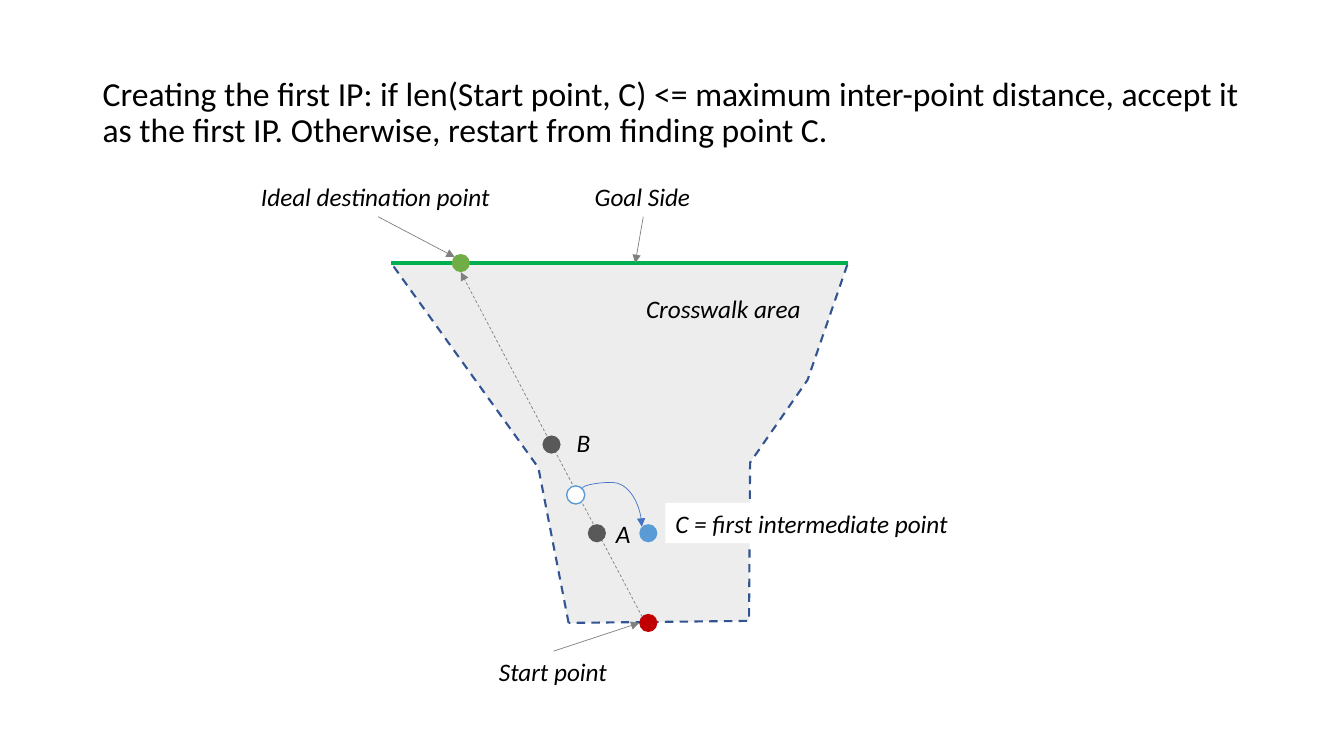
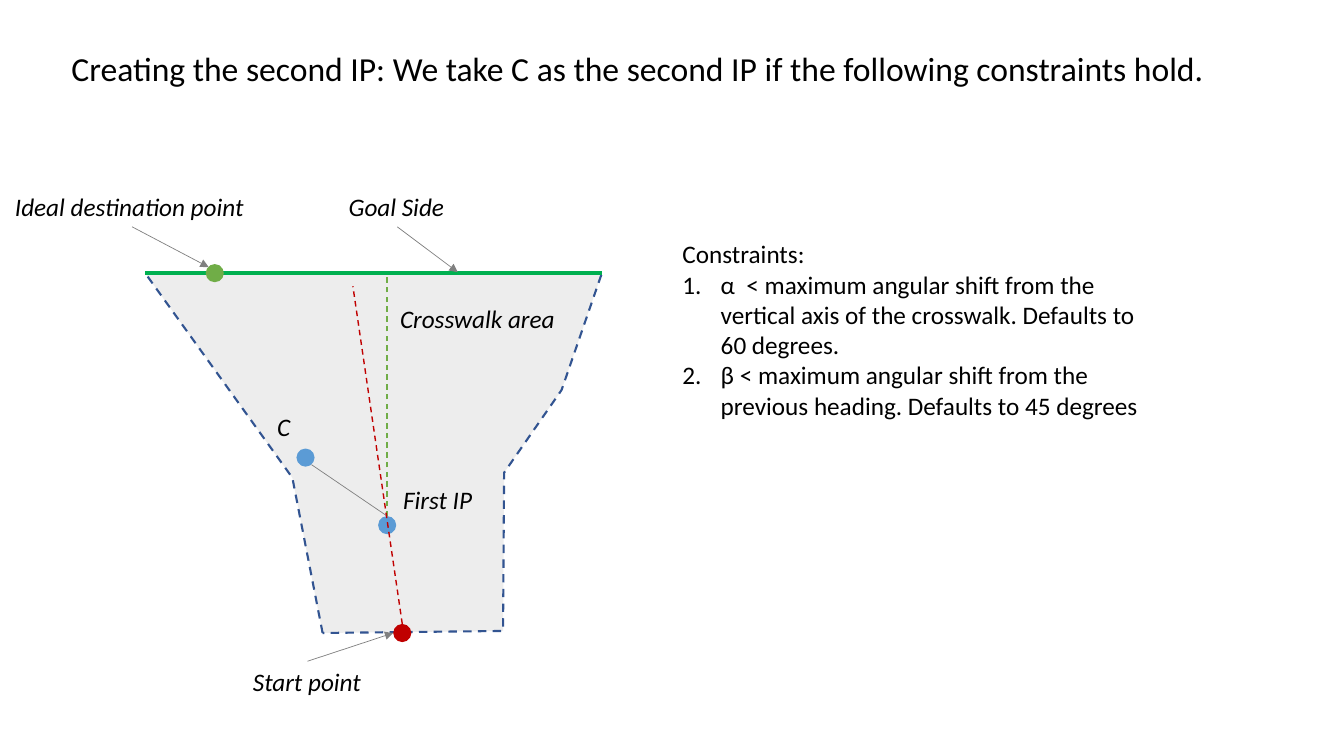
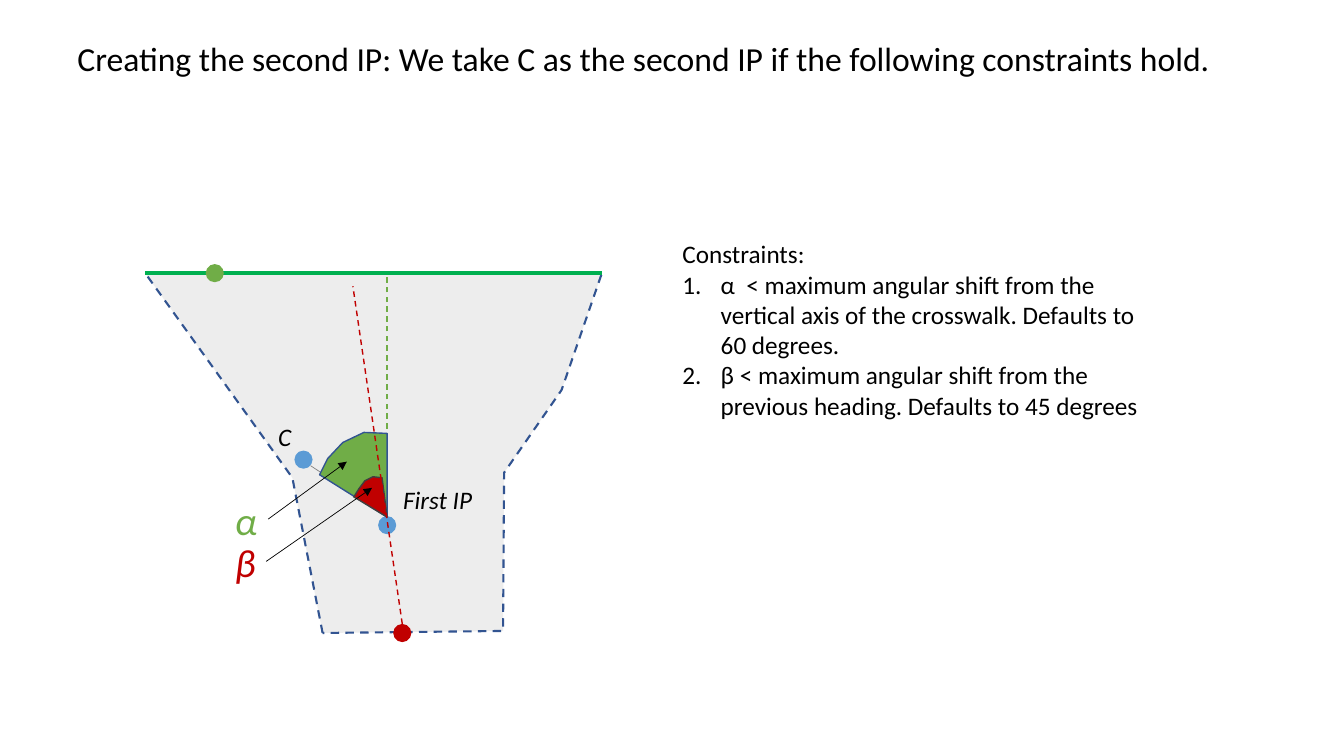
"""Three slides on placing intermediate points (IP) inside a crosswalk."""
from lxml import etree
from pptx import Presentation
from pptx.dml.color import RGBColor
from pptx.enum.dml import MSO_LINE_DASH_STYLE as Dash
from pptx.enum.shapes import MSO_CONNECTOR as Link, MSO_SHAPE as Preset
from pptx.enum.text import MSO_ANCHOR as Anchor, MSO_AUTO_SIZE as AutoSize, PP_ALIGN as Align
from pptx.oxml.ns import qn
from pptx.util import Inches, Pt

FONT = "Calibri"
BLACK, WHITE, GREY, DARK = "000000", "FFFFFF", "808080", "595959"
RED, GREEN, BLUE, NAVY = "C00000", "70AD47", "5B9BD5", "325491"
GOAL_GREEN, AREA_GREY, CURVE_BLUE, OUTLINE = "00B050", "EDEDED", "4472C4", "404040"
DOT = 0.18
INDENT = 0.38

AREA = [(1.76, 3.57), (1.46, 2.03), (0, 0), (4.53, 0), (4.13, 1.16), (3.56, 1.98), (3.55, 3.55)]
START, IDEAL, FIRST_IP = (2.55, 3.57), (0.69, 0), (2.4, 2.5)
IP_TOP = (2.4, 2.41)

FIRST_TITLE = ("Creating the first IP: if len(Start point, C) <= maximum inter-point distance, "
               "accept it as the first IP. Otherwise, restart from finding point C.")
SECOND_TITLE = ("Creating the second IP: We take C as the second IP "
                "if the following constraints hold.")
CONSTRAINTS = [
    "Constraints:",
    "α  < maximum angular shift from the vertical axis of the crosswalk. Defaults to 60 degrees.",
    "β < maximum angular shift from the previous heading. Defaults to 45 degrees",
]

AREA_LABELS = [
    ("label", "Start point", (0.97, 3.85), 1.29),
    ("label", "Crosswalk area", (2.42, 0.25), 1.75),
    ("label", "Goal Side", (1.92, -0.86), 1.16),
    ("label", "Ideal destination point", (-1.39, -0.86), 2.52),
    ("arrow", (1.61, 3.85), (2.46, 3.57)),
    ("arrow", (-0.13, -0.46), (0.63, -0.06)),
]
FIRST_IP_PARTS = [
    ("label", "First IP", (2.46, 2.05), 0.89),
    ("dot", FIRST_IP, BLUE),
    ("line", IP_TOP, (2.4, 0), GREEN, 1, True),
]
HEADING = ("line", (2.55, 3.48), (2.06, 0.13), RED, 1, True)

SLIDES = [
    dict(title=FIRST_TITLE, title_at=(0.92, 0.4), origin=(3.88, 2.61), parts=AREA_LABELS + [
        ("arrow", (2.5, -0.46), (2.42, 0)),
        ("arrow", (2.49, 3.51), (0.69, 0.09), GREY, True),
        ("dot", (2.04, 2.68), DARK),
        ("dot", (1.59, 1.8), DARK),
        ("label", "A", (2.13, 2.48), 0.35),
        ("label", "B", (1.74, 1.58), 0.34),
        ("dot", (1.83, 2.3), WHITE, BLUE),
        ("label", "C = first intermediate point", (2.72, 2.38), 2.93, 18, BLACK, WHITE),
        ("dot", (2.55, 2.68), BLUE),
        ("curve", (2.38, 2.13), (2, 2.72)),
    ]),
    dict(title=SECOND_TITLE, title_at=(0.61, -0.02), origin=(1.44, 2.71), notes=CONSTRAINTS,
         parts=AREA_LABELS + [("arrow", (2.5, -0.46), (3.1, -0.01))] + FIRST_IP_PARTS + [
             ("dot", (1.59, 1.83), BLUE),
             ("label", "C", (1.21, 1.32), 0.33),
             ("line", IP_TOP, (1.65, 1.9), GREY, 0.5),
             HEADING,
         ]),
    dict(title=SECOND_TITLE, title_at=(0.67, -0.12), origin=(1.44, 2.71), notes=CONSTRAINTS,
         parts=FIRST_IP_PARTS + [
             ("dot", (1.57, 1.85), BLUE),
             ("label", "C", (1.22, 1.42), 0.33),
             ("line", IP_TOP, (1.64, 1.91), GREY, 0.5),
             ("label", "α", (0.79, 2.16), 0.42, 28, GREEN),
             ("label", "β", (0.79, 2.58), 0.41, 28, RED),
             ("outline", [(2.4, 2.42), (1.73, 2), (1.81, 1.84), (1.96, 1.68), (2.17, 1.58),
                          (2.4, 1.59)], GREEN, NAVY, 1),
             ("outline", [(2.4, 2.42), (2.07, 2.22), (2.12, 2.14), (2.18, 2.06), (2.26, 2.02),
                          (2.35, 2.03)], RED, OUTLINE, 1),
             HEADING,
             ("arrow", (1.2, 2.86), (2.25, 2.13), BLACK),
             ("arrow", (1.22, 2.44), (2, 1.87), BLACK),
         ]),
]


def rgb(color):
    return RGBColor.from_string(color)


def fill(shape, color):
    shape.fill.solid()
    shape.fill.fore_color.rgb = rgb(color)


def stroke(line, color, width, dashed=False):
    line.color.rgb = rgb(color)
    line.width = Pt(width)
    if dashed:
        line.dash_style = Dash.DASH


def write(page, lines, left, top, width, height, size=18, color=BLACK, italic=False):
    box = page.shapes.add_textbox(Inches(left), Inches(top), Inches(width), Inches(height))
    box.text_frame.text = "\n".join(lines)
    box.text_frame.word_wrap = True
    for para in box.text_frame.paragraphs:
        for span in para.runs:
            span.font.name, span.font.size = FONT, Pt(size)
            span.font.italic = italic
            span.font.color.rgb = rgb(color)
    return box


def add_title(page, text, left, top):
    frame = write(page, [text], left, top, 11.5, 1.45, 24).text_frame
    frame.vertical_anchor = Anchor.MIDDLE
    frame.paragraphs[0].line_spacing = 0.9


def add_notes(page, lines):
    box = write(page, lines, 6.67, 2.32, 4.72, 2.83)
    for para in box.text_frame.paragraphs[1:]:
        props = para._p.get_or_add_pPr()
        props.set("marL", str(Inches(INDENT)))
        props.set("indent", str(-Inches(INDENT)))
        etree.SubElement(props, qn("a:buAutoNum"), type="arabicPeriod")


class Diagram:
    """Draws parts at inches measured from the crosswalk's top left corner."""

    def __init__(self, page, origin):
        self.page, self.origin = page, origin

    def place(self, point):
        return tuple(Inches(a + b) for a, b in zip(self.origin, point))

    def outline(self, points, color, edge, width, dashed=False):
        first, *rest = map(self.place, points)
        builder = self.page.shapes.build_freeform(*first)
        builder.add_line_segments(rest, close=True)
        shape = builder.convert_to_shape()
        shape.shadow.inherit = False
        fill(shape, color)
        stroke(shape.line, edge, width, dashed)

    def dot(self, center, color, edge=None):
        corner = self.place([value - DOT / 2 for value in center])
        shape = self.page.shapes.add_shape(Preset.OVAL, *corner, Inches(DOT), Inches(DOT))
        shape.shadow.inherit = False
        fill(shape, color)
        if edge:
            stroke(shape.line, edge, 1)
        else:
            shape.line.fill.background()

    def line(self, start, end, color, width, dashed=False, kind=Link.STRAIGHT):
        link = self.page.shapes.add_connector(kind, *self.place(start), *self.place(end))
        stroke(link.line, color, width, dashed)
        etree.SubElement(link._element.spPr, qn("a:effectLst"))
        return link

    def arrow(self, start, end, color=GREY, dashed=False, kind=Link.STRAIGHT):
        link = self.line(start, end, color, 0.5, dashed, kind)
        etree.SubElement(link.line._get_or_add_ln(), qn("a:tailEnd"), type="triangle")
        return link

    def curve(self, start, end):
        props = self.arrow(start, end, CURVE_BLUE, kind=Link.CURVE)._element.spPr
        props.find(qn("a:xfrm")).set("rot", str(270 * 60000))
        guides = props.find(qn("a:prstGeom")).find(qn("a:avLst"))
        etree.SubElement(guides, qn("a:gd"), name="adj1", fmla="val -15700")

    def label(self, text, corner, width, size=18, color=BLACK, back=None):
        left, top = (a + b for a, b in zip(self.origin, corner))
        height = 0.4 if size == 18 else 0.57
        box = write(self.page, [text], left, top, width, height, size, color, True)
        box.text_frame.word_wrap = False
        box.text_frame.auto_size = AutoSize.SHAPE_TO_FIT_TEXT
        if text == "Crosswalk area":
            box.text_frame.paragraphs[0].alignment = Align.CENTER
        if back:
            fill(box, back)

    def crosswalk(self):
        self.outline(AREA, AREA_GREY, NAVY, 1.5, True)
        self.dot(START, RED)
        self.line(AREA[2], AREA[3], GOAL_GREEN, 3)
        self.dot(IDEAL, GREEN)


def main():
    deck = Presentation()
    deck.slide_width, deck.slide_height = Inches(13.33), Inches(7.5)
    for content in SLIDES:
        page = deck.slides.add_slide(deck.slide_layouts[6])
        add_title(page, content["title"], *content["title_at"])
        diagram = Diagram(page, content["origin"])
        diagram.crosswalk()
        for kind, *details in content["parts"]:
            getattr(diagram, kind)(*details)
        if "notes" in content:
            add_notes(page, content["notes"])
    deck.save("out.pptx")


if __name__ == "__main__":
    main()
